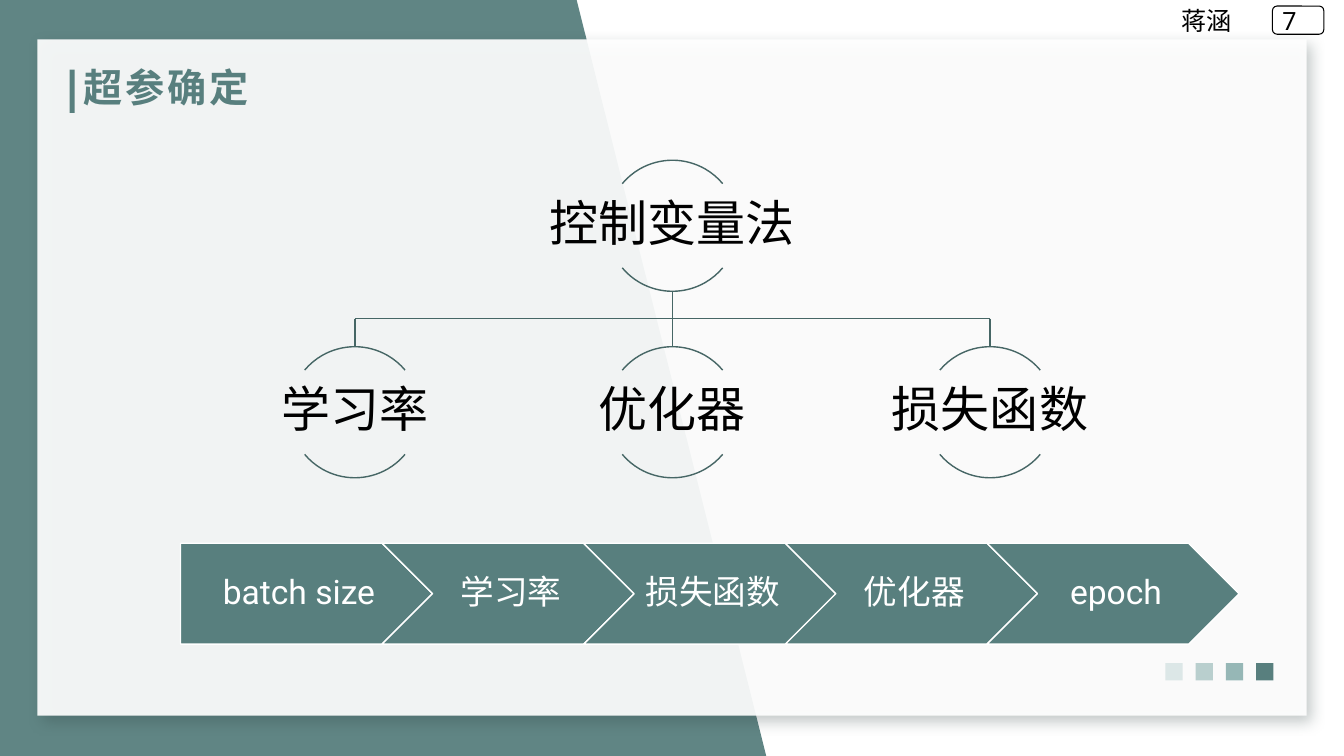
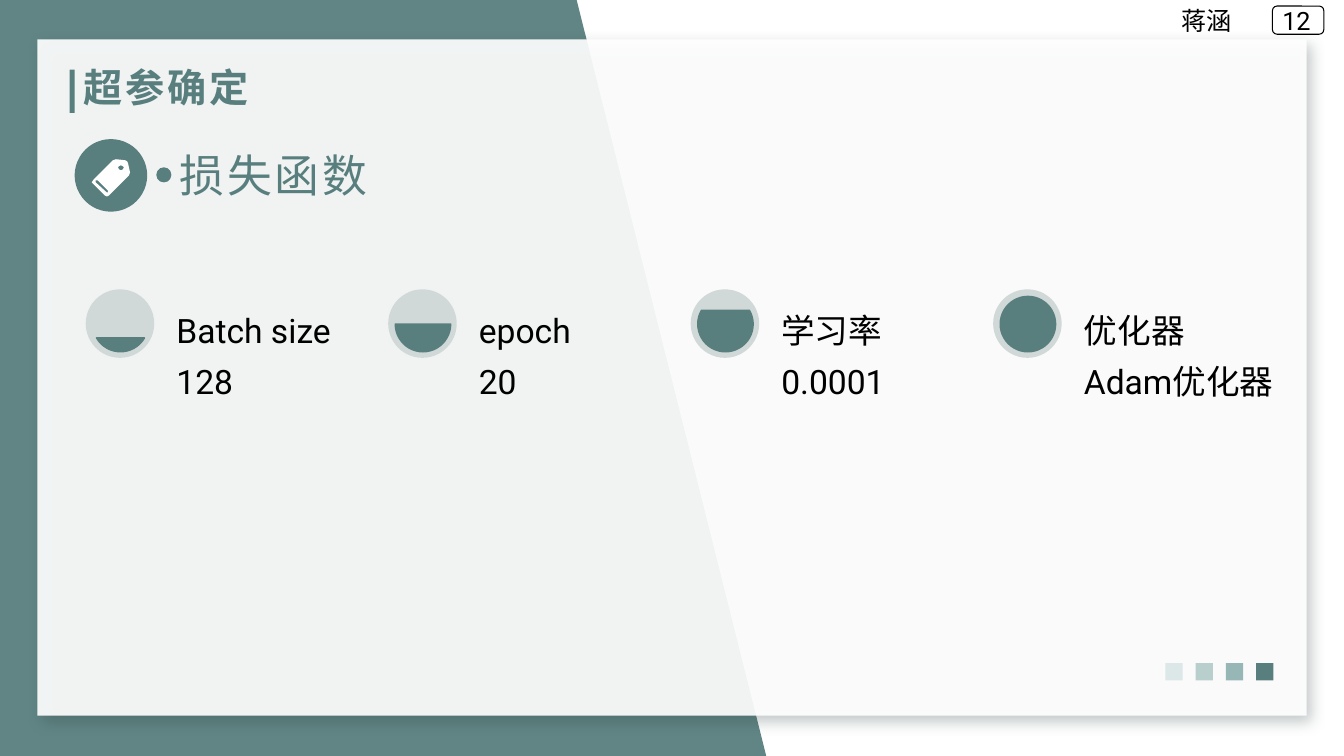
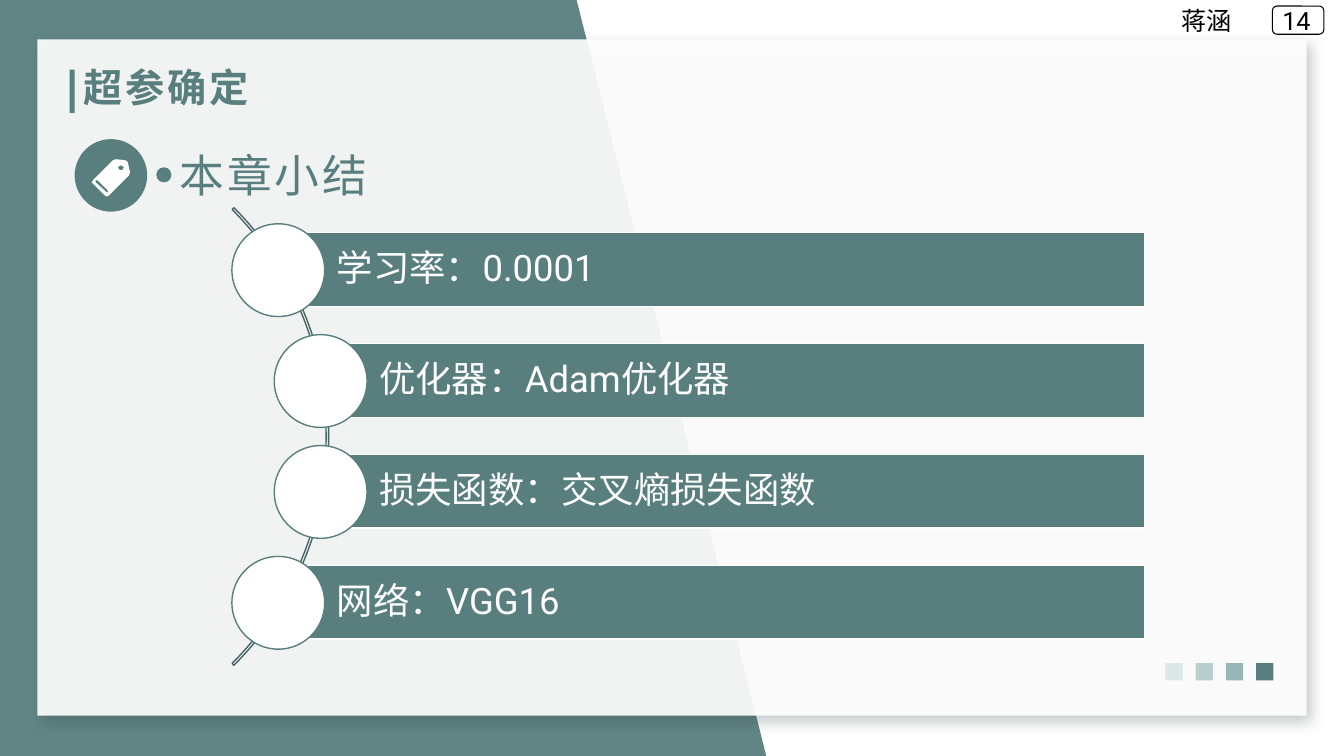
from dataclasses import dataclass
from math import asin, degrees

from lxml.etree import SubElement
from pptx import Presentation
from pptx.dml.color import RGBColor
from pptx.enum.shapes import MSO_CONNECTOR, MSO_SHAPE as Preset
from pptx.enum.text import MSO_ANCHOR as Anchor, PP_ALIGN as Align
from pptx.oxml.ns import qn
from pptx.util import Inches, Pt


@dataclass(frozen=True)
class Theme:
    teal: str = "587F7E"
    teal_line: str = "466665"
    squares: tuple = ("DCE7E7", "B9CFCE", "96B7B6", "587F7E")
    gauge: str = "D1D8D8"
    shadow: str = "2C403F"
    white: str = "FFFFFF"
    black: str = "000000"
    heading_font: str = "Cabin"
    body_font: str = "Roboto"
    small: int = 18
    body: int = 24
    bar: int = 26
    title: int = 28
    subtitle: int = 32
    node: int = 35


@dataclass(frozen=True)
class Box:
    left: float
    top: float
    width: float
    height: float

    def lengths(self) -> tuple:
        return tuple(map(Inches, (self.left, self.top, self.width, self.height)))


@dataclass(frozen=True)
class Setting:
    name: str
    value: str
    level: float


@dataclass(frozen=True)
class SummaryBar:
    text: str
    left: float


THEME = Theme()
DEFAULT_INSETS = (0.1, 0.05, 0.1, 0.05)
DIAGRAM_TEXT = dict(line_spacing=0.9, space_after=35)


# Drawing helpers
def write(shape, text: str, *, size: int = THEME.body, color: str = THEME.black,
          font: str = THEME.body_font, bold: bool = False, tracking: int = 0,
          align=Align.LEFT, anchor=Anchor.TOP, insets: tuple = DEFAULT_INSETS,
          line_spacing: float | None = None, space_after: int = 0) -> None:
    """Fill a shape with one formatted paragraph; space_after is a percentage."""
    frame = shape.text_frame
    frame.word_wrap = True
    frame.vertical_anchor = anchor
    (frame.margin_left, frame.margin_top,
     frame.margin_right, frame.margin_bottom) = map(Inches, insets)
    paragraph = frame.paragraphs[0]
    paragraph.alignment = align
    if line_spacing:
        paragraph.line_spacing = line_spacing
    if space_after:
        after = SubElement(paragraph._p.get_or_add_pPr(), qn("a:spcAft"))
        SubElement(after, qn("a:spcPct"), val=str(space_after * 1000))
    run = paragraph.add_run()
    run.text = text
    run.font.name = font
    run.font.size = Pt(size)
    run.font.bold = bold
    run.font.color.rgb = RGBColor.from_string(color)
    if tracking:
        run._r.get_or_add_rPr().set("spc", str(tracking * 100))


def add_text(slide, box: Box, text: str, **style) -> None:
    write(slide.shapes.add_textbox(*box.lengths()), text, **style)


def paint(shape, fill: str | None, line: str | None = None,
          width: float = 1, opacity: int = 100) -> None:
    shape.shadow.inherit = False
    if fill:
        shape.fill.solid()
        shape.fill.fore_color.rgb = RGBColor.from_string(fill)
        if opacity < 100:
            color = shape._element.spPr.find(qn("a:solidFill"))[0]
            SubElement(color, qn("a:alpha"), val=str(opacity * 1000))
    else:
        shape.fill.background()
    if line:
        shape.line.color.rgb = RGBColor.from_string(line)
        shape.line.width = Pt(width)
    else:
        shape.line.fill.background()


def add_shape(slide, preset, box: Box, fill: str | None, line: str | None = None,
              adjustments: tuple = (), **look):
    shape = slide.shapes.add_shape(preset, *box.lengths())
    for index, value in enumerate(adjustments):
        shape.adjustments[index] = value
    paint(shape, fill, line, **look)
    return shape


def add_outline(slide, contours: list, fill: str, **look) -> None:
    """Draw closed contours, given in inches, as one freeform."""
    scaled = [[(Inches(x), Inches(y)) for x, y in points] for points in contours]
    builder = slide.shapes.build_freeform(*scaled[0][0])
    for index, points in enumerate(scaled):
        if index:
            builder.move_to(*points[0])
        builder.add_line_segments(points[1:], close=True)
    paint(builder.convert_to_shape(), fill, **look)


def add_line(slide, x1: float, y1: float, x2: float, y2: float) -> None:
    connector = slide.shapes.add_connector(
        MSO_CONNECTOR.STRAIGHT, *map(Inches, (x1, y1, x2, y2)))
    connector.line.color.rgb = RGBColor.from_string(THEME.teal_line)
    connector.line.width = Pt(1)
    SubElement(connector._element.spPr, qn("a:effectLst"))


def add_panel_shadow(panel) -> None:
    effects = panel._element.spPr.find(qn("a:effectLst"))
    shadow = SubElement(effects, qn("a:outerShdw"), blurRad=str(Pt(10)),
                        dist=str(Pt(6)), dir="2700000", algn="tl", rotWithShape="0")
    color = SubElement(shadow, qn("a:srgbClr"), val=THEME.shadow)
    SubElement(color, qn("a:alpha"), val="30000")


# Parts shared by all slides
def add_framed_slide(presentation, number: int):
    slide = presentation.slides.add_slide(presentation.slide_layouts[6])
    add_outline(slide, [[(0, 0), (5.72, 0), (7.6, 7.5), (0, 7.5)]],
                THEME.teal, opacity=95)
    panel = add_shape(slide, Preset.RECTANGLE, Box(0.37, 0.39, 12.59, 6.71),
                      THEME.white, opacity=92)
    add_panel_shadow(panel)
    for index, color in enumerate(THEME.squares):
        add_shape(slide, Preset.RECTANGLE,
                  Box(11.56 + 0.3 * index, 6.58, 0.17, 0.17), color)
    add_shape(slide, Preset.RECTANGLE, Box(0.69, 0.69, 0.05, 0.43), THEME.teal)
    add_shape(slide, Preset.ROUNDED_RECTANGLE, Box(12.62, 0.06, 0.51, 0.28),
              THEME.white, THEME.black, width=0.75)
    add_text(slide, Box(12.62, 0, 0.51, 0.4), str(number), size=THEME.small)
    add_text(slide, Box(0.73, 0.58, 5.26, 0.48), "超参确定", size=THEME.title,
             color=THEME.teal, font=THEME.heading_font, bold=True, tracking=2)
    add_text(slide, Box(11.62, 0, 1.27, 0.4), "蒋涵", size=THEME.small)
    return slide


def add_subtitle(slide, text: str) -> None:
    add_shape(slide, Preset.OVAL, Box(0.74, 1.38, 0.72, 0.72), THEME.teal)
    add_text(slide, Box(1.78, 1.47, 10.97, 0.54), text, size=THEME.subtitle,
             color=THEME.teal, font=THEME.heading_font, tracking=2,
             insets=(0, 0, 0, 0))
    tag = [(1.29, 1.71), (1.27, 1.62), (1.26, 1.6), (1.24, 1.59), (1.15, 1.58),
           (1.12, 1.59), (0.93, 1.78), (0.91, 1.81), (0.93, 1.83), (1.04, 1.94),
           (1.06, 1.95), (1.08, 1.94), (1.28, 1.74)]
    slot = [(1.07, 1.91), (1.06, 1.91), (0.95, 1.81), (0.95, 1.79),
            (0.97, 1.79), (1.07, 1.89)]
    hole = [(1.22, 1.68), (1.2, 1.69), (1.18, 1.68), (1.17, 1.66),
            (1.18, 1.65), (1.2, 1.64), (1.22, 1.65), (1.23, 1.66)]
    add_outline(slide, [tag, slot, hole], THEME.white)
    add_shape(slide, Preset.OVAL, Box(1.55, 1.66, 0.15, 0.15), THEME.teal)


# Control variable tree and tuning order
def add_tree_node(slide, center: float, top: float, text: str) -> None:
    for angles in ((132, 192), (24, 84)):
        add_shape(slide, Preset.ARC, Box(center - 0.65, top, 1.3, 1.3),
                  None, THEME.teal_line, angles)
    add_text(slide, Box(center - 1.3, top + 0.23, 2.6, 0.83), text,
             size=THEME.node, align=Align.CENTER, anchor=Anchor.MIDDLE,
             insets=(0.02,) * 4, **DIAGRAM_TEXT)


def build_method_slide(presentation) -> None:
    slide = add_framed_slide(presentation, 7)
    root, pitch = 6.67, 3.15
    root_bottom, bar, child_top = 2.89, 3.16, 3.44
    children = {root - pitch: "学习率", root: "优化器", root + pitch: "损失函数"}
    add_line(slide, root, root_bottom, root, bar)
    add_line(slide, root - pitch, bar, root + pitch, bar)
    add_tree_node(slide, root, 1.59, "控制变量法")
    for center, text in children.items():
        add_line(slide, center, bar, center, child_top)
        add_tree_node(slide, center, child_top, text)

    steps = ("batch size", "学习率", "损失函数", "优化器", "epoch")
    for index, text in enumerate(steps):
        preset = Preset.CHEVRON if index else Preset.PENTAGON
        step = add_shape(slide, preset, Box(1.79 + 2 * index, 5.39, 2.5, 1),
                         THEME.teal, THEME.white)
        write(step, text, color=THEME.white, align=Align.CENTER,
              anchor=Anchor.MIDDLE,
              insets=(0.1 if index else 0.14, 0.07, 0.04, 0.07), **DIAGRAM_TEXT)


# Settings with gauges
def add_setting(slide, left: float, setting: Setting) -> None:
    top, size = 2.87, 0.68
    angle = degrees(asin(1 - 2 * setting.level))
    # One degree is 0.6 of an adjustment unit
    ends = (round(angle % 360 * 0.6, 2), round((180 - angle) * 0.6, 2))
    add_shape(slide, Preset.OVAL, Box(left, top, size, size), THEME.gauge)
    add_shape(slide, Preset.CHORD, Box(left + 0.07, top + 0.07, 0.55, 0.55),
              THEME.teal, THEME.teal, ends)
    style = dict(insets=(0.07,) * 4, **DIAGRAM_TEXT)
    add_text(slide, Box(left + 0.83, top + 0.69, 2.03, 2.88), setting.value, **style)
    add_text(slide, Box(left + 0.83, top, 2.03, size), setting.name,
             anchor=Anchor.BOTTOM, **style)


def build_settings_slide(presentation) -> None:
    slide = add_framed_slide(presentation, 12)
    add_subtitle(slide, "损失函数")
    settings = (Setting("Batch size", "128", 0.25), Setting("epoch", "20", 0.5),
                Setting("学习率", "0.0001", 0.75),
                Setting("优化器", "Adam优化器", 1))
    for index, setting in enumerate(settings):
        add_setting(slide, 0.85 + 3 * index, setting)


# Chapter summary along a curve
def build_summary_slide(presentation) -> None:
    slide = add_framed_slide(presentation, 14)
    add_subtitle(slide, "本章小结")
    add_shape(slide, Preset.BLOCK_ARC, Box(-3.16, 1.12, 6.42, 6.42), None,
              THEME.teal_line, (189, 27, 0.004))
    outer, inner, right = 2.76, 3.18, 11.35
    bars = (SummaryBar("学习率：0.0001", outer),
            SummaryBar("优化器：Adam优化器", inner),
            SummaryBar("损失函数：交叉熵损失函数", inner),
            SummaryBar("网络：VGG16", outer))
    for index, bar in enumerate(bars):
        top = 2.31 + 1.1 * index
        shape = add_shape(slide, Preset.RECTANGLE,
                          Box(bar.left, top, right - bar.left, 0.73),
                          THEME.teal, THEME.white)
        write(shape, bar.text, size=THEME.bar, color=THEME.white,
              anchor=Anchor.MIDDLE, insets=(0.58, 0.07, 0.07, 0.07), **DIAGRAM_TEXT)
        add_shape(slide, Preset.OVAL, Box(bar.left - 0.46, top - 0.09, 0.92, 0.92),
                  THEME.white, THEME.teal)


def main() -> None:
    presentation = Presentation()
    presentation.slide_width = Inches(13.33)
    presentation.slide_height = Inches(7.5)
    build_method_slide(presentation)
    build_settings_slide(presentation)
    build_summary_slide(presentation)
    presentation.save("out.pptx")


if __name__ == "__main__":
    main()
